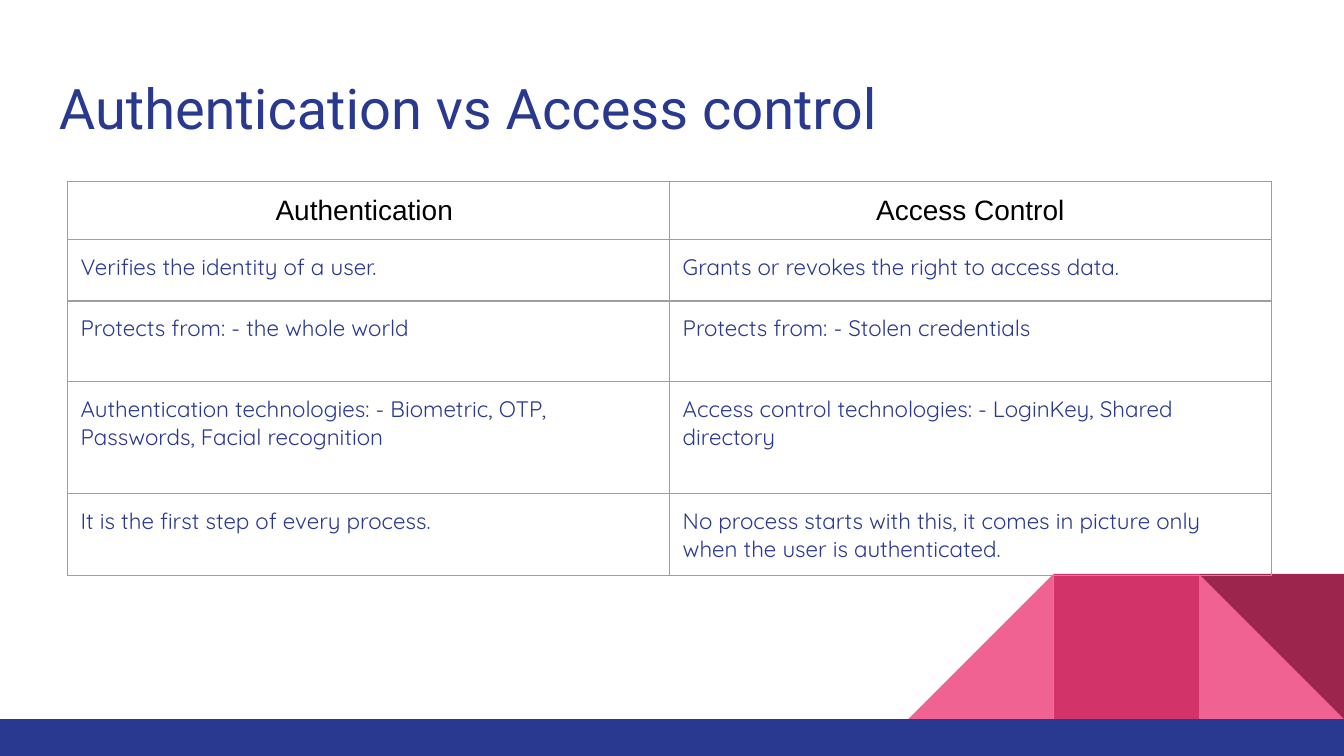
import pptx
import pptx.util
import pptx.dml.color
import pptx.enum.shapes
import pptx.enum.text
import pptx.oxml
import pptx.oxml.ns

Inches = pptx.util.Inches
RGBColor = pptx.dml.color.RGBColor
MSO_SHAPE = pptx.enum.shapes.MSO_SHAPE
PP_ALIGN = pptx.enum.text.PP_ALIGN

NAVY = RGBColor(0x2A, 0x39, 0x90)
PINK = RGBColor(0xF0, 0x62, 0x92)
ROSE = RGBColor(0xD2, 0x33, 0x69)
WINE = RGBColor(0x9C, 0x25, 0x4D)
BLACK = RGBColor(0, 0, 0)
GRAY = RGBColor(0x9E, 0x9E, 0x9E)

WIDTH = 10
HEIGHT = WIDTH * 9 / 16
FLOOR = 5.35
TILE = 1.08
INSET = 0.1
TABLE_LEFT, TABLE_TOP = 0.5, 1.35
COLUMN_WIDTH = 4.48
ROW_HEIGHTS = [0.43, 0.46, 0.6, 0.83, 0.61]
ROWS = [
    ("Authentication ", "Access Control"),
    ("Verifies the identity of a user.",
     "Grants or revokes the right to access data."),
    ("Protects from: - the whole world",
     "Protects from: - Stolen credentials"),
    ("Authentication technologies: - Biometric, OTP, Passwords, Facial recognition",
     "Access control technologies: - LoginKey, Shared directory"),
    ("It is the first step of every process.",
     "No process starts with this, it comes in picture only when the user is authenticated."),
]


def write_text(tf, text, font, size, color, align=PP_ALIGN.LEFT):
    tf.word_wrap = True
    p = tf.paragraphs[0]
    p.alignment = align
    r = p.add_run()
    r.text = text
    r.font.name = font
    r.font.size = pptx.util.Pt(size)
    r.font.color.rgb = color


def set_margins(box, bottom=INSET):
    box.margin_left = box.margin_right = box.margin_top = Inches(INSET)
    box.margin_bottom = Inches(bottom)


def add_block(slide, kind, left, top, width, height, color):
    sp = slide.shapes.add_shape(
        kind, Inches(left), Inches(top), Inches(width), Inches(height))
    sp.shadow.inherit = False
    sp.fill.solid()
    sp.fill.fore_color.rgb = color
    sp.line.fill.background()
    return sp


def add_corner(slide):
    def add_tile(kind, column, color):
        left = WIDTH - column * TILE
        return add_block(slide, kind, left, FLOOR - TILE, TILE, TILE, color)

    add_tile(MSO_SHAPE.RIGHT_TRIANGLE, 1, PINK)
    rising = add_tile(MSO_SHAPE.RIGHT_TRIANGLE, 3, PINK)
    rising._element.spPr.xfrm.set("flipH", "1")
    add_tile(MSO_SHAPE.RECTANGLE, 2, ROSE)
    add_tile(MSO_SHAPE.RIGHT_TRIANGLE, 1, WINE).rotation = 180
    add_block(slide, MSO_SHAPE.RECTANGLE, 0, FLOOR, WIDTH, HEIGHT - FLOOR, NAVY)


def add_title(slide, text):
    left = 0.34
    sp = slide.shapes.add_textbox(
        Inches(left), Inches(0.45), Inches(WIDTH - 2 * left), Inches(0.66))
    set_margins(sp.text_frame)
    write_text(sp.text_frame, text, font="Roboto", size=30, color=NAVY)


def set_borders(cell, color, width):
    tcPr = cell._tc.get_or_add_tcPr()
    for i, side in enumerate(("lnL", "lnR", "lnT", "lnB")):
        tcPr.insert(i, pptx.oxml.parse_xml(
            f'<a:{side} {pptx.oxml.ns.nsdecls("a")} w="{pptx.util.Pt(width)}">'
            f'<a:solidFill><a:srgbClr val="{color}"/></a:solidFill></a:{side}>'))


def add_comparison(slide):
    table = slide.shapes.add_table(
        len(ROWS), 2, Inches(TABLE_LEFT), Inches(TABLE_TOP),
        Inches(2 * COLUMN_WIDTH), Inches(sum(ROW_HEIGHTS))).table
    table.first_row = table.horz_banding = False
    for i, (height, texts) in enumerate(zip(ROW_HEIGHTS, ROWS)):
        table.rows[i].height = Inches(height)
        for j, text in enumerate(texts):
            cell = table.cell(i, j)
            cell.fill.background()
            set_borders(cell, GRAY, 0.75)
            if i == 0:
                set_margins(cell, bottom=0.08)
                write_text(cell.text_frame, text, font="Arial", size=15,
                           color=BLACK, align=PP_ALIGN.CENTER)
            else:
                set_margins(cell)
                write_text(cell.text_frame, text, font="Quicksand", size=12,
                           color=NAVY)


def main():
    prs = pptx.Presentation()
    prs.slide_width, prs.slide_height = Inches(WIDTH), Inches(HEIGHT)
    slide = prs.slides.add_slide(prs.slide_layouts[6])
    add_corner(slide)
    add_title(slide, "Authentication vs Access control")
    add_comparison(slide)
    prs.save("out.pptx")


if __name__ == "__main__":
    main()
